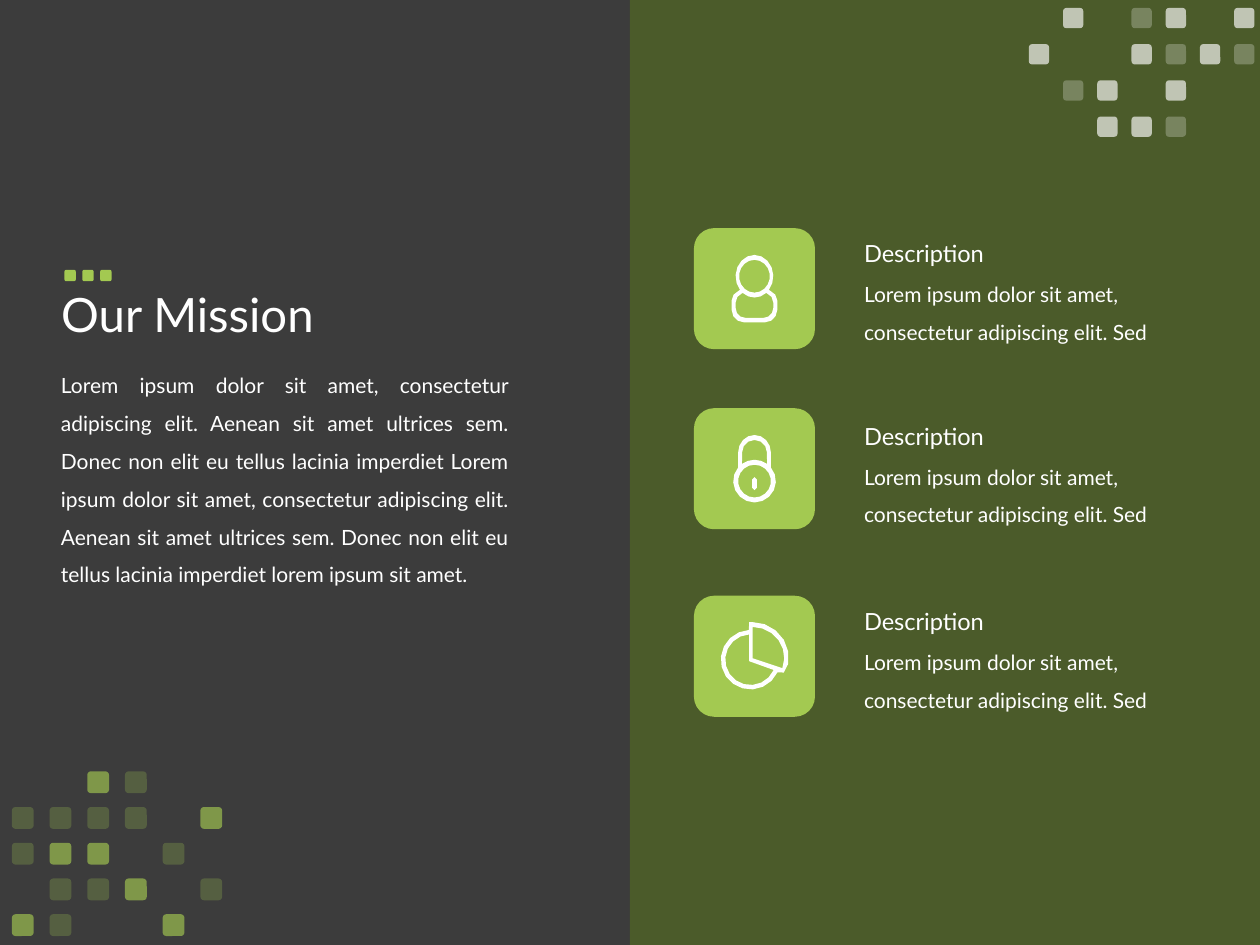
"""Build the "Our Mission" slide with three icon descriptions."""
import math
from dataclasses import dataclass

from lxml import etree
from pptx import Presentation
from pptx.dml.color import RGBColor
from pptx.enum.shapes import MSO_SHAPE
from pptx.enum.text import MSO_ANCHOR, MSO_AUTO_SIZE, PP_ALIGN
from pptx.oxml.ns import qn
from pptx.util import Cm, Pt

RECTANGLE = MSO_SHAPE.RECTANGLE
ROUNDED = MSO_SHAPE.ROUNDED_RECTANGLE
LEFT, JUSTIFY = PP_ALIGN.LEFT, PP_ALIGN.JUSTIFY
MIDDLE = MSO_ANCHOR.MIDDLE
GROW = MSO_AUTO_SIZE.SHAPE_TO_FIT_TEXT

COLORS = {"background": "3C3C3C", "panel": "546C21", "accent": "A3C951", "white": "FFFFFF"}
FONT = "Lato"
OPACITIES = {"#": 65, "+": 25, "o": 100}
TILE_LEFT, TILE_SIZE = 13.99, 2.44
TEXT_LEFT, DESCRIPTION_LEFT = 0.98, 17.17

MISSION = (
    "Lorem ipsum dolor sit amet, consectetur adipiscing elit. Aenean sit amet ultrices sem. "
    "Donec non elit eu tellus lacinia imperdiet Lorem ipsum dolor sit amet, consectetur "
    "adipiscing elit. Aenean sit amet ultrices sem. Donec non elit eu tellus lacinia "
    "imperdiet lorem ipsum sit amet."
)
DESCRIPTION = "Lorem ipsum dolor sit amet, consectetur adipiscing elit. Sed"

Contour = list[tuple[float, float]]


@dataclass(frozen=True)
class SquarePattern:
    left: float
    top: float
    column_step: float
    row_step: float
    size: float
    color: str
    rows: tuple[str, ...]


@dataclass(frozen=True)
class Feature:
    tile_top: float
    heading_top: float
    icon: list[Contour]


def arc(x: float, y: float, radius_x: float, radius_y: float, start: int, end: int) -> Contour:
    """Return points on an elliptical arc, clockwise angles in degrees."""
    steps = max(1, round(abs(end - start) / (20 if radius_x > 0.3 else 30)))
    angles = [math.radians(start + (end - start) * step / steps) for step in range(steps + 1)]
    return [(x + radius_x * math.cos(angle), y + radius_y * math.sin(angle)) for angle in angles]


def symmetric(right_half: Contour) -> Contour:
    """Complete a right half with its mirror image."""
    return right_half + [(-x, y) for x, y in reversed(right_half) if x > 0.01]


def person_icon() -> list[Contour]:
    """Return the contours of a head and shoulders."""
    head = (0, -0.25, 0.38, 0.43)
    return [
        symmetric(arc(*head, -90, 40) + arc(0.21, 0.24, 0.25, 0.22, -65, 0)
                  + arc(0.21, 0.43, 0.25, 0.25, 0, 90)),
        symmetric(arc(0, -0.25, 0.31, 0.33, -90, 90)),
        symmetric(arc(*head, 90, 52) + arc(0.18, 0.28, 0.2, 0.2, -70, 0)
                  + arc(0.18, 0.39, 0.2, 0.2, 0, 90)),
    ]


def lock_icon() -> list[Contour]:
    """Return the contours of a round padlock."""
    body = (0, 0.25, 0.43, 0.43)
    return [
        symmetric(arc(0, -0.33, 0.33, 0.35, -90, 0) + arc(*body, -40, 90)),
        symmetric(arc(0, -0.33, 0.25, 0.25, -90, 0) + arc(*body, -54, -90)),
        symmetric(arc(0, 0.25, 0.33, 0.33, -90, 90)),
        symmetric([(0, 0.17), (0.05, 0.22), (0.05, 0.38), (0, 0.43)]),
    ]


def pie_icon() -> list[Contour]:
    """Return the contours of a pie with a raised slice."""
    return [
        [(-0.11, -0.69)] + arc(-0.05, 0.03, 0.74, 0.72, -90, 10) + [(0.59, 0.33)]
        + arc(-0.08, 0.07, 0.6, 0.6, 25, 267),
        [(-0.11, 0.1)] + arc(-0.08, 0.07, 0.51, 0.51, 24, 267),
        [(-0.04, 0.04)] + arc(-0.04, 0.03, 0.64, 0.62, -90, 20),
    ]


PATTERNS = (
    SquarePattern(1.3, 5.44, 0.36, 0.36, 0.23, "accent", ("ooo",)),
    SquarePattern(20.74, 0.16, 0.69, 0.73, 0.41, "white",
                  (".#.+#.#", "#..#+#+", ".+#.#..", "..##+..")),
    SquarePattern(0.24, 15.55, 0.76, 0.72, 0.44, "accent",
                  ("..#+..", "++++.#", "+##.+.", ".++#.+", "#+..#.")),
)
FEATURES = (
    Feature(4.6, 4.7, person_icon()),
    Feature(8.23, 8.38, lock_icon()),
    Feature(12.01, 12.12, pie_icon()),
)


def paint(shape, color: str, opacity: int = 100) -> None:
    """Give a shape a plain fill without line or shadow."""
    shape.shadow.inherit = False
    shape.line.fill.background()
    shape.fill.solid()
    shape.fill.fore_color.rgb = RGBColor.from_string(COLORS[color])
    if opacity < 100:
        color_element = shape.element.spPr.find(qn("a:solidFill"))[0]
        etree.SubElement(color_element, qn("a:alpha")).set("val", str(opacity * 1000))


def add_block(shapes, kind, left: float, top: float, width: float, height: float,
              color: str, opacity: int = 100) -> None:
    """Add a filled preset shape."""
    shape = shapes.add_shape(kind, Cm(left), Cm(top), Cm(width), Cm(height))
    paint(shape, color, opacity)


def write(shape, text: str, *, size: float = 12, spacing: float = 1.0, align=LEFT) -> None:
    """Write one formatted paragraph into a shape."""
    shape.text_frame.word_wrap = True
    paragraph = shape.text_frame.paragraphs[0]
    paragraph.alignment = align
    paragraph.line_spacing = spacing
    run = paragraph.add_run()
    run.text = text
    run.font.name = FONT
    run.font.size = Pt(size)
    run.font.color.rgb = RGBColor.from_string(COLORS["white"])


def add_text(slide, left: float, top: float, width: float, height: float,
             text: str, **text_format) -> None:
    """Add a text box that grows with its text."""
    box = slide.shapes.add_textbox(Cm(left), Cm(top), Cm(width), Cm(height))
    write(box, text, **text_format)
    box.text_frame.auto_size = GROW


def add_pattern(slide, pattern: SquarePattern) -> None:
    """Add a group of small squares laid out on a grid."""
    group = slide.shapes.add_group_shape()
    for row, marks in enumerate(pattern.rows):
        for column, mark in enumerate(marks):
            if mark in OPACITIES:
                add_block(group.shapes, ROUNDED, pattern.left + column * pattern.column_step,
                          pattern.top + row * pattern.row_step, pattern.size, pattern.size,
                          pattern.color, OPACITIES[mark])


def add_icon(slide, feature: Feature) -> None:
    """Add a white outline icon in the middle of its tile."""
    x, y = TILE_LEFT + TILE_SIZE / 2, feature.tile_top + TILE_SIZE / 2
    first, *others = [[(Cm(x + dx), Cm(y + dy)) for dx, dy in contour]
                      for contour in feature.icon]
    builder = slide.shapes.build_freeform(*first[0])
    builder.add_line_segments(first[1:], close=True)
    for contour in others:
        builder.move_to(*contour[0])
        builder.add_line_segments(contour[1:], close=True)
    paint(builder.convert_to_shape(), "white")


def add_description(slide, feature: Feature) -> None:
    """Add the description and its heading."""
    add_text(slide, DESCRIPTION_LEFT, feature.heading_top + 0.6, 7.57, 1.7,
             DESCRIPTION, spacing=1.5)
    add_text(slide, DESCRIPTION_LEFT, feature.heading_top, 4.47, 0.84, "Description", size=13.5)


def main() -> None:
    """Build and save the presentation."""
    presentation = Presentation()
    presentation.slide_width, presentation.slide_height = Cm(25.4), Cm(19.05)
    slide = presentation.slides.add_slide(presentation.slide_layouts.get_by_name("Title Only"))
    slide.background.fill.solid()
    slide.background.fill.fore_color.rgb = RGBColor.from_string(COLORS["background"])
    title = slide.shapes.title
    title.left, title.top, title.width, title.height = Cm(TEXT_LEFT), Cm(4.27), Cm(21.89), Cm(4.24)
    title.text_frame.vertical_anchor = MIDDLE
    write(title, "Our Mission", size=27, spacing=0.9)
    add_block(slide.shapes, RECTANGLE, 12.7, 0, 12.7, 19.05, "panel", 65)
    add_text(slide, TEXT_LEFT, 7.14, 9.53, 4.78, MISSION, spacing=1.5, align=JUSTIFY)
    for feature in FEATURES:
        add_block(slide.shapes, ROUNDED, TILE_LEFT, feature.tile_top, TILE_SIZE, TILE_SIZE, "accent")
    for feature in FEATURES:
        add_description(slide, feature)
    for pattern in PATTERNS:
        add_pattern(slide, pattern)
    for feature in FEATURES:
        add_icon(slide, feature)
    presentation.save("out.pptx")


if __name__ == "__main__":
    main()
